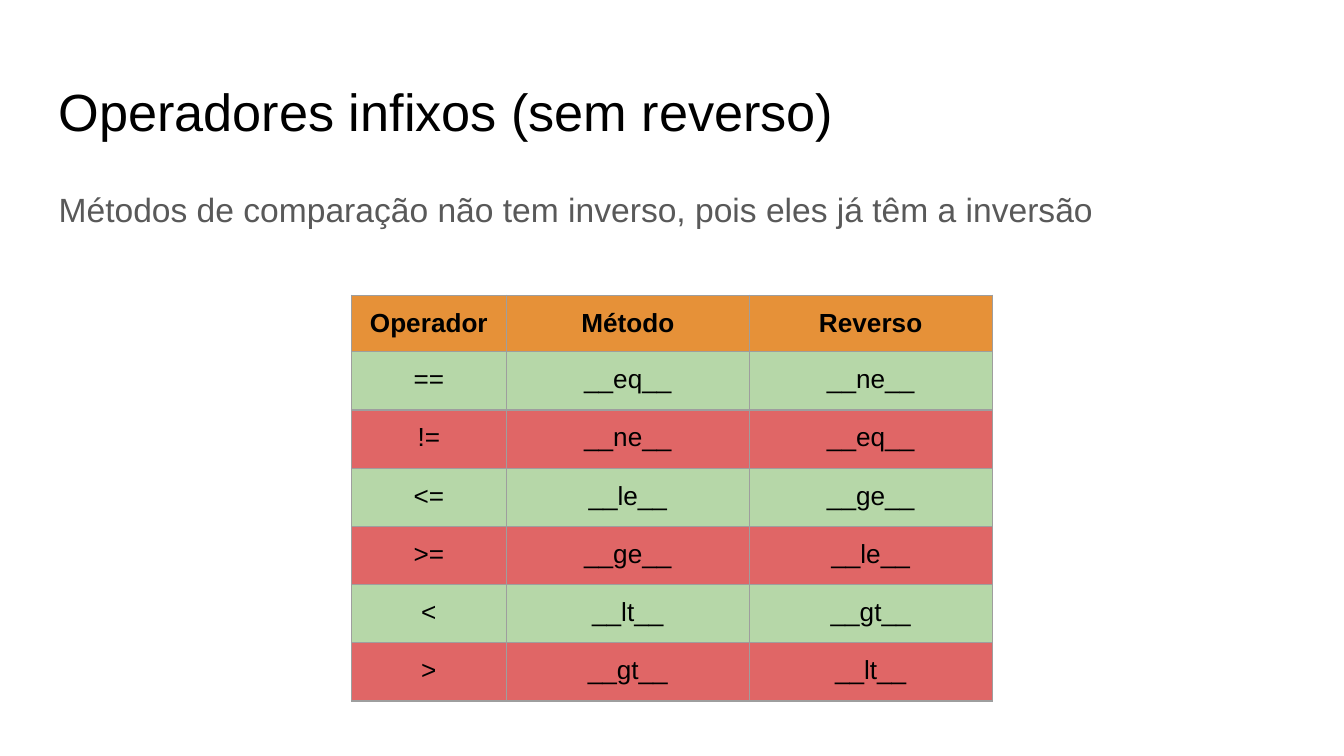
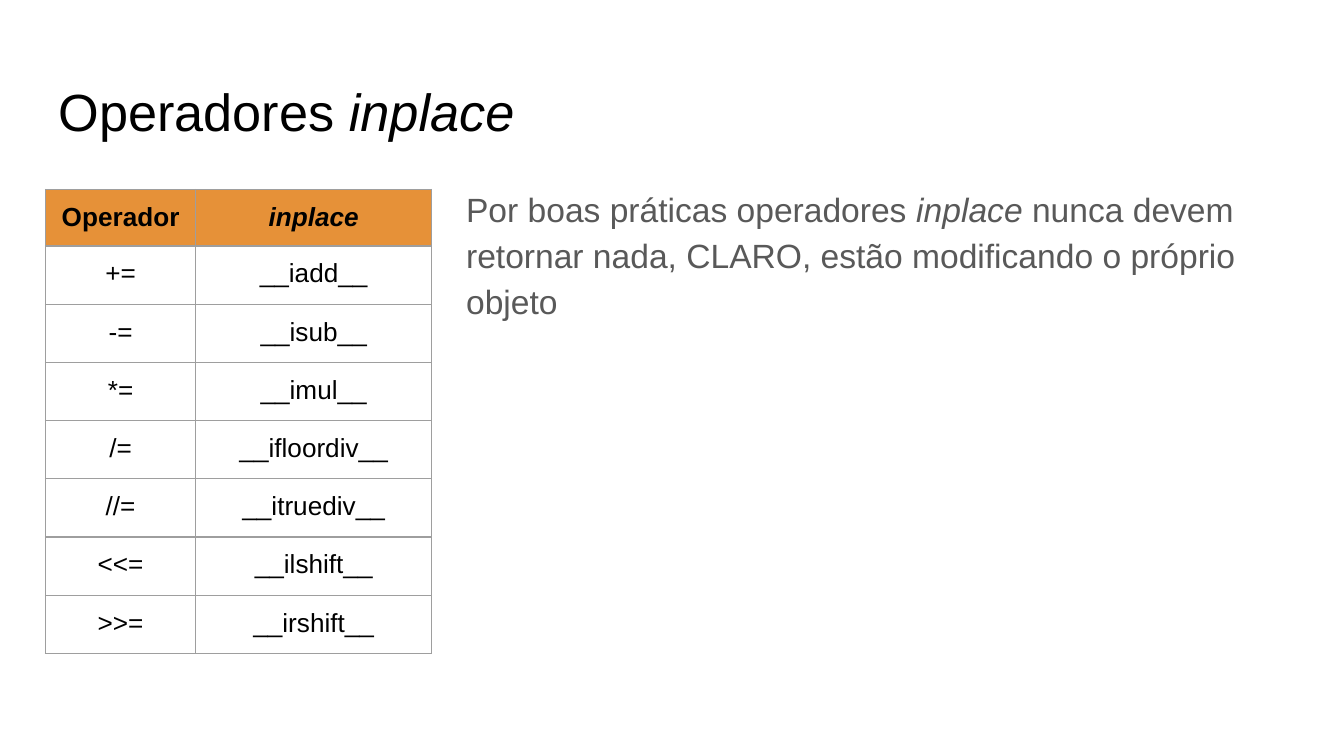
import pptx
import pptx.dml.color
import pptx.enum.text
import pptx.oxml
import pptx.oxml.ns
import pptx.util
from pptx.util import Cm

RGBColor = pptx.dml.color.RGBColor
BLACK = RGBColor(0x00, 0x00, 0x00)
GRAY = RGBColor(0x59, 0x59, 0x59)
BORDER = RGBColor(0x9E, 0x9E, 0x9E)
ORANGE = RGBColor(0xE6, 0x91, 0x38)
GREEN = RGBColor(0xB6, 0xD7, 0xA8)
RED = RGBColor(0xE0, 0x66, 0x66)

FONT = "Arial"
INSET = Cm(0.25)
MARGIN = Cm(0.86)
CONTENT_WIDTH = Cm(23.67)
LINE_HEIGHT = Cm(1.6)
BODY_TOP = Cm(3.2)
HEADER_HEIGHT = Cm(1.07)
ROW_HEIGHT = Cm(1.1)

COMPARISONS = [
    ("==", "eq", "ne"),
    ("!=", "ne", "eq"),
    ("<=", "le", "ge"),
    (">=", "ge", "le"),
    ("<", "lt", "gt"),
    (">", "gt", "lt"),
]
INPLACE_OPERATORS = [
    ("+=", "iadd"),
    ("-=", "isub"),
    ("*=", "imul"),
    ("/=", "ifloordiv"),
    ("//=", "itruediv"),
    ("<<=", "ilshift"),
    (">>=", "irshift"),
]


def method_rows(operators):
    return [[symbol] + [f"__{name}__" for name in names] for symbol, *names in operators]


def style_paragraph(paragraph, size, color, align, bold=False):
    paragraph.alignment = align
    paragraph.font.name = FONT
    paragraph.font.size = pptx.util.Pt(size)
    paragraph.font.color.rgb = color
    paragraph.font.bold = bold


def write_text(frame, pieces, size, color):
    frame.margin_left = frame.margin_right = INSET
    frame.margin_top = frame.margin_bottom = INSET
    frame.word_wrap = True
    frame.auto_size = pptx.enum.text.MSO_AUTO_SIZE.NONE
    frame.vertical_anchor = pptx.enum.text.MSO_ANCHOR.TOP
    paragraph = frame.paragraphs[0]
    style_paragraph(paragraph, size, color, pptx.enum.text.PP_ALIGN.LEFT)
    for text, italic in pieces:
        run = paragraph.add_run()
        run.text = text
        if italic:
            run.font.italic = True
    return paragraph


def add_titled_slide(deck, pieces):
    slide = deck.slides.add_slide(deck.slide_layouts[5])
    title = slide.shapes.title
    title.left, title.top = MARGIN, Cm(1.24)
    title.width, title.height = CONTENT_WIDTH, LINE_HEIGHT
    write_text(title.text_frame, pieces, 28, BLACK)
    return slide


def add_body(slide, pieces, left, width, height):
    body = slide.shapes.add_textbox(left, BODY_TOP, width, height)
    paragraph = write_text(body.text_frame, pieces, 18, GRAY)
    paragraph.line_spacing = 1.15
    paragraph.space_after = pptx.util.Pt(16)


def add_borders(cell):
    properties = cell._tc.get_or_add_tcPr()
    for position, side in enumerate(("lnL", "lnR", "lnT", "lnB")):
        line = pptx.oxml.parse_xml(
            f'<a:{side} {pptx.oxml.ns.nsdecls("a")} w="9525">'
            f'<a:solidFill><a:srgbClr val="{BORDER}"/></a:solidFill></a:{side}>'
        )
        properties.insert(position, line)


def fill_cell(cell, text, fill, bold):
    cell.margin_left = cell.margin_right = INSET
    cell.margin_top = cell.margin_bottom = INSET
    cell.text = text
    style_paragraph(cell.text_frame.paragraphs[0], 14, BLACK,
                    pptx.enum.text.PP_ALIGN.CENTER, bold)
    if fill is None:
        cell.fill.background()
    else:
        cell.fill.solid()
        cell.fill.fore_color.rgb = fill
    add_borders(cell)


def add_operator_table(slide, left, top, widths, header, rows, row_fills):
    lines = [header] + rows
    height = HEADER_HEIGHT + ROW_HEIGHT * len(rows)
    table = slide.shapes.add_table(
        len(lines), len(widths), left, top, sum(widths), height
    ).table
    table.first_row = False
    table.horz_banding = False
    for column, width in zip(table.columns, widths):
        column.width = width
    for index, texts in enumerate(lines):
        is_header = index == 0
        table.rows[index].height = HEADER_HEIGHT if is_header else ROW_HEIGHT
        fill = ORANGE if is_header else row_fills[(index - 1) % len(row_fills)]
        for column, text in enumerate(texts):
            fill_cell(table.cell(index, column), text, fill, is_header)
    return table


def build_comparison_slide(deck):
    slide = add_titled_slide(deck, [("Operadores infixos (sem reverso)", False)])
    add_body(
        slide,
        [("Métodos de comparação não tem inverso, pois eles já têm a inversão", False)],
        MARGIN, CONTENT_WIDTH, LINE_HEIGHT,
    )
    add_operator_table(
        slide, Cm(6.64), Cm(5.58), [Cm(2.93), Cm(4.59), Cm(4.59)],
        ["Operador", "Método", "Reverso"], method_rows(COMPARISONS), [GREEN, RED],
    )


def build_inplace_slide(deck):
    slide = add_titled_slide(deck, [("Operadores ", False), ("inplace", True)])
    table = add_operator_table(
        slide, MARGIN, Cm(3.58), [Cm(2.84), Cm(4.46)],
        ["Operador", "inplace"], method_rows(INPLACE_OPERATORS), [None],
    )
    table.cell(0, 1).text_frame.paragraphs[0].font.italic = True
    add_body(
        slide,
        [
            ("Por boas práticas operadores ", False),
            ("inplace", True),
            (" nunca devem retornar nada, CLARO, estão modificando o próprio objeto", False),
        ],
        Cm(8.56), Cm(15.95), Cm(9.17),
    )


def main():
    deck = pptx.Presentation()
    deck.slide_width, deck.slide_height = Cm(25.4), Cm(14.29)
    build_comparison_slide(deck)
    build_inplace_slide(deck)
    deck.save("out.pptx")


if __name__ == "__main__":
    main()
